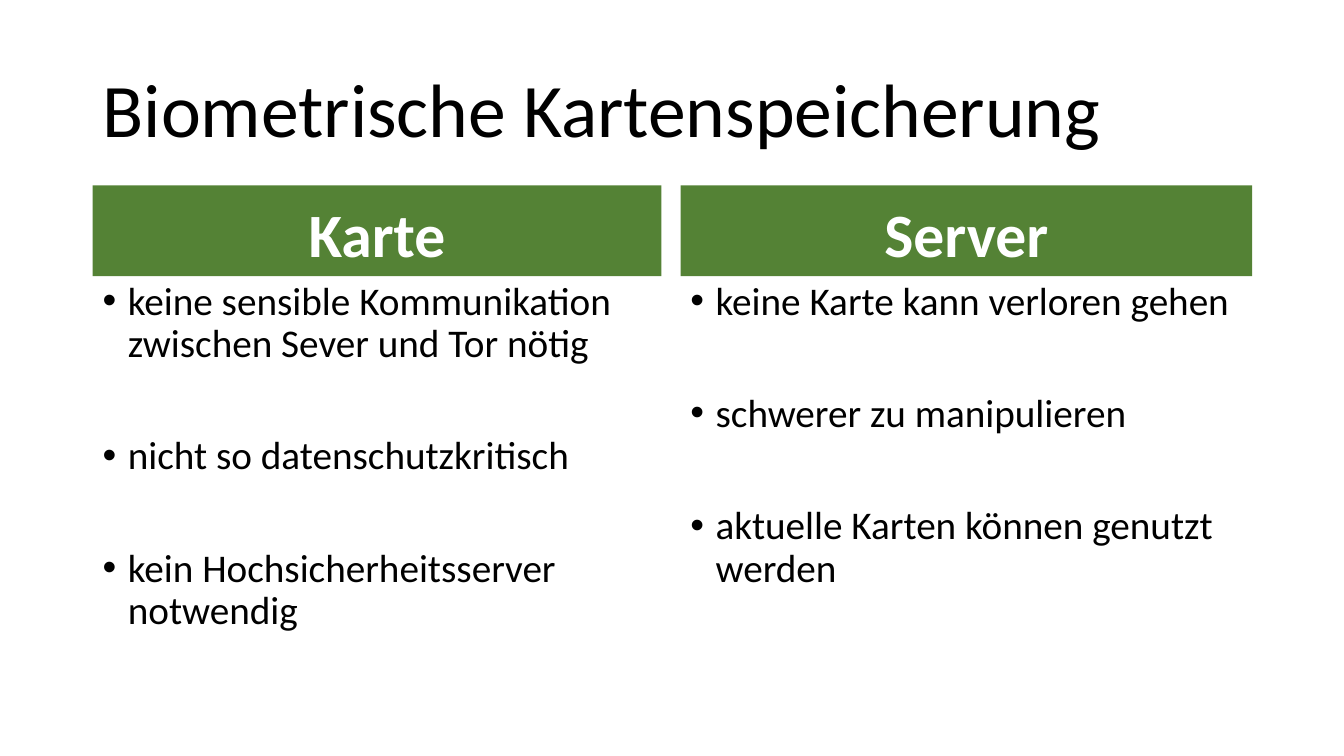
import pptx
import pptx.util
import pptx.dml.color
import pptx.enum.shapes
import pptx.enum.text
import pptx.oxml.ns
from lxml import etree

Inches, Pt = pptx.util.Inches, pptx.util.Pt
PP_ALIGN = pptx.enum.text.PP_ALIGN
MSO_ANCHOR = pptx.enum.text.MSO_ANCHOR


def color(hex_string):
    return pptx.dml.color.RGBColor.from_string(hex_string)


def style(paragraph, size, hex_string, bold=False):
    paragraph.line_spacing = 0.9
    paragraph.font.name = "Calibri"
    paragraph.font.size = Pt(size)
    paragraph.font.bold = bold
    paragraph.font.color.rgb = color(hex_string)


deck = pptx.Presentation()
deck.slide_width, deck.slide_height = Inches(13.33), Inches(7.5)
slide = deck.slides.add_slide(deck.slide_layouts[6])

# Title
title = slide.shapes.add_textbox(Inches(0.92), Inches(0.4), Inches(11.5), Inches(1.45)).text_frame
title.word_wrap = True
title.vertical_anchor = MSO_ANCHOR.MIDDLE
title.text = "Biometrische Kartenspeicherung"
style(title.paragraphs[0], 54, "000000")

# Two columns: heading, left, width, advantages
columns = [
    ("Karte", 0.92, 5.64, [
        "keine sensible Kommunikation zwischen Sever und Tor nötig",
        "nicht so datenschutzkritisch",
        "kein Hochsicherheitsserver notwendig",
    ]),
    ("Server", 6.75, 5.67, [
        "keine Karte kann verloren gehen",
        "schwerer zu manipulieren",
        "aktuelle Karten können genutzt werden",
    ]),
]
for heading, left, width, advantages in columns:
    # Green heading bar
    bar = slide.shapes.add_shape(pptx.enum.shapes.MSO_SHAPE.RECTANGLE,
                                 Inches(left), Inches(1.84), Inches(width), Inches(0.9))
    bar.shadow.inherit = False
    bar.fill.solid()
    bar.fill.fore_color.rgb = color("548235")
    bar.line.fill.background()
    bar.text_frame.word_wrap = True
    bar.text_frame.vertical_anchor = MSO_ANCHOR.BOTTOM
    bar.text_frame.text = heading
    bar.text_frame.paragraphs[0].alignment = PP_ALIGN.CENTER
    style(bar.text_frame.paragraphs[0], 44, "FFFFFF", bold=True)

    # Bulleted advantages
    body = slide.shapes.add_textbox(Inches(left), Inches(2.74), Inches(width), Inches(4.03)).text_frame
    body.word_wrap = True
    body.text = "\n".join(advantages)
    for number, advantage in enumerate(body.paragraphs):
        style(advantage, 28, "000000")
        advantage.space_before = Pt(50 if number else 0)
        properties = advantage._p.get_or_add_pPr()
        properties.set("marL", str(Inches(0.25)))
        properties.set("indent", str(Inches(-0.25)))
        bullet_font = etree.Element(pptx.oxml.ns.qn("a:buFont"), typeface="Arial")
        bullet = etree.Element(pptx.oxml.ns.qn("a:buChar"), char="•")
        properties.find(pptx.oxml.ns.qn("a:defRPr")).addprevious(bullet_font)
        bullet_font.addnext(bullet)

deck.save("out.pptx")
